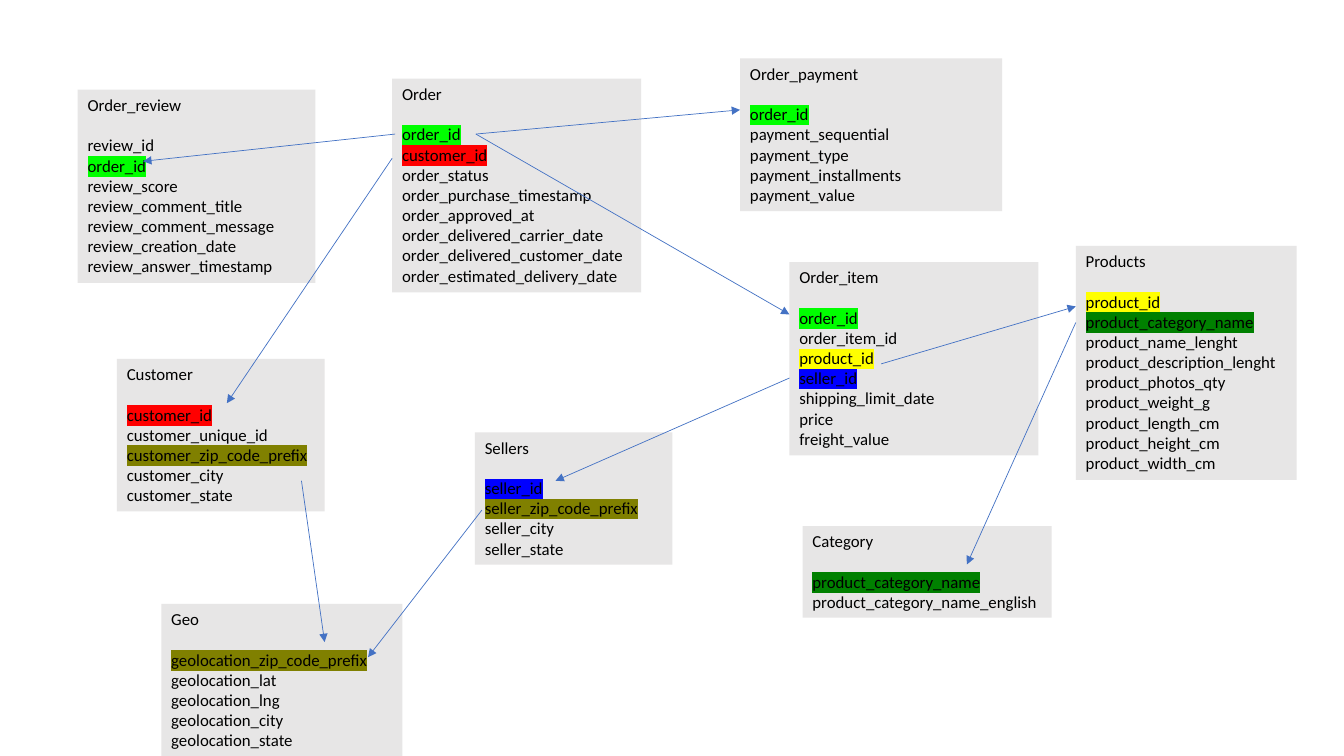
from lxml import etree
from pptx import Presentation
from pptx.dml.color import RGBColor
from pptx.enum import shapes, text
from pptx.oxml import ns
from pptx.util import Inches, Pt

BOX_GREY = RGBColor(0xE7, 0xE6, 0xE6)
ARROW_BLUE = RGBColor(0x44, 0x72, 0xC4)
BLACK = RGBColor(0x00, 0x00, 0x00)
LIME = RGBColor(0x00, 0xFF, 0x00)
RED = RGBColor(0xFF, 0x00, 0x00)
YELLOW = RGBColor(0xFF, 0xFF, 0x00)
BLUE = RGBColor(0x00, 0x00, 0xFF)
GREEN = RGBColor(0x00, 0x80, 0x00)
OLIVE = RGBColor(0x80, 0x80, 0x00)

# Each key has the same highlight in every table
KEY_COLORS = {
    "order_id": LIME,
    "customer_id": RED,
    "product_id": YELLOW,
    "seller_id": BLUE,
    "product_category_name": GREEN,
    "customer_zip_code_prefix": OLIVE,
    "seller_zip_code_prefix": OLIVE,
    "geolocation_zip_code_prefix": OLIVE,
}

LINE_HEIGHT = 0.202
FONT = {"name": "Calibri", "size": Pt(12)}
FRAME = {"word_wrap": True, "vertical_anchor": text.MSO_ANCHOR.TOP,
         "auto_size": text.MSO_AUTO_SIZE.SHAPE_TO_FIT_TEXT}

# Name, left, top, width, fields
TABLES = [
    ("Order", 3.89, 0.78, 2.47,
     "order_id customer_id order_status order_purchase_timestamp "
     "order_approved_at order_delivered_carrier_date "
     "order_delivered_customer_date order_estimated_delivery_date"),
    ("Order_item", 7.83, 2.6, 2.47,
     "order_id order_item_id product_id seller_id shipping_limit_date "
     "price freight_value"),
    ("Customer", 1.16, 3.56, 2.06,
     "customer_id customer_unique_id customer_zip_code_prefix "
     "customer_city customer_state"),
    ("Sellers", 4.71, 4.29, 1.96,
     "seller_id seller_zip_code_prefix seller_city seller_state"),
    ("Products", 10.67, 2.44, 2.19,
     "product_id product_category_name product_name_lenght "
     "product_description_lenght product_photos_qty product_weight_g "
     "product_length_cm product_height_cm product_width_cm"),
    ("Order_review", 0.77, 0.89, 2.36,
     "review_id order_id review_score review_comment_title "
     "review_comment_message review_creation_date review_answer_timestamp"),
    ("Order_payment", 7.34, 0.58, 2.6,
     "order_id payment_sequential payment_type payment_installments "
     "payment_value"),
    ("Geo", 1.6, 5.99, 2.39,
     "geolocation_zip_code_prefix geolocation_lat geolocation_lng "
     "geolocation_city geolocation_state"),
    ("Category", 7.96, 5.22, 2.47,
     "product_category_name product_category_name_english"),
]

# Start x, start y, end x, end y
RELATIONS = [
    (4.72, 1.33, 7.34, 1.09),    # Order to Order_payment
    (4.72, 1.33, 7.83, 3.12),    # Order to Order_item
    (3.92, 1.33, 1.42, 1.6),     # Order to Order_review
    (7.83, 3.75, 5.51, 4.77),    # Order_item to Sellers
    (4.78, 5.06, 3.65, 6.52),    # Sellers to Geo
    (3.89, 1.57, 2.25, 4),       # Order to Customer
    (2.99, 4.77, 3.22, 6.37),    # Customer to Geo
    (8.74, 3.61, 10.67, 3.04),   # Order_item to Products
    (10.67, 3.2, 9.59, 5.6),     # Products to Category
]


def set_attrs(obj, values):
    for name, value in values.items():
        setattr(obj, name, value)


def add_run(p, content, highlight=None):
    r = p.add_run()
    r.text = content
    set_attrs(r.font, FONT)
    r.font.color.rgb = BLACK
    if highlight is not None:
        # The highlight has to follow the text fill
        mark = etree.Element(ns.qn("a:highlight"))
        etree.SubElement(mark, ns.qn("a:srgbClr"), val=str(highlight))
        r.font._element.find(ns.qn("a:solidFill")).addnext(mark)


def add_entity(s, name, left, top, width, field_names):
    fields = field_names.split()
    height = 0.1 + LINE_HEIGHT * (len(fields) + 2)
    sp = s.shapes.add_shape(shapes.MSO_SHAPE.RECTANGLE, Inches(left),
                            Inches(top), Inches(width), Inches(height))
    sp.shadow.inherit = False
    sp.fill.solid()
    sp.fill.fore_color.rgb = BOX_GREY
    sp.line.fill.background()
    tf = sp.text_frame
    set_attrs(tf, FRAME)

    # Table name, then one line of space
    p = tf.paragraphs[0]
    set_attrs(p, {"alignment": text.PP_ALIGN.LEFT,
                  "space_after": Inches(LINE_HEIGHT)})
    add_run(p, name)

    # Fields, one to a line
    p = tf.add_paragraph()
    p.alignment = text.PP_ALIGN.LEFT
    for i, field in enumerate(fields):
        if i:
            p.add_line_break()
        add_run(p, field, KEY_COLORS.get(field))
    # Line breaks take the text size too
    for br in p._p.findall(ns.qn("a:br")):
        etree.SubElement(br, ns.qn("a:rPr"), sz="1200")


def add_arrow(s, *ends):
    cx = s.shapes.add_connector(shapes.MSO_CONNECTOR.STRAIGHT,
                                *(Inches(v) for v in ends))
    cx.line.color.rgb = ARROW_BLUE
    cx.line.width = Pt(0.5)
    etree.SubElement(cx.line._get_or_add_ln(), ns.qn("a:tailEnd"),
                     type="triangle")
    etree.SubElement(cx._element.spPr, ns.qn("a:effectLst"))


def main():
    prs = Presentation()
    prs.slide_width, prs.slide_height = Inches(13.33), Inches(7.5)
    s = prs.slides.add_slide(prs.slide_layouts[6])
    for table in TABLES:
        add_entity(s, *table)
    for relation in RELATIONS:
        add_arrow(s, *relation)
    prs.save("out.pptx")


if __name__ == "__main__":
    main()
